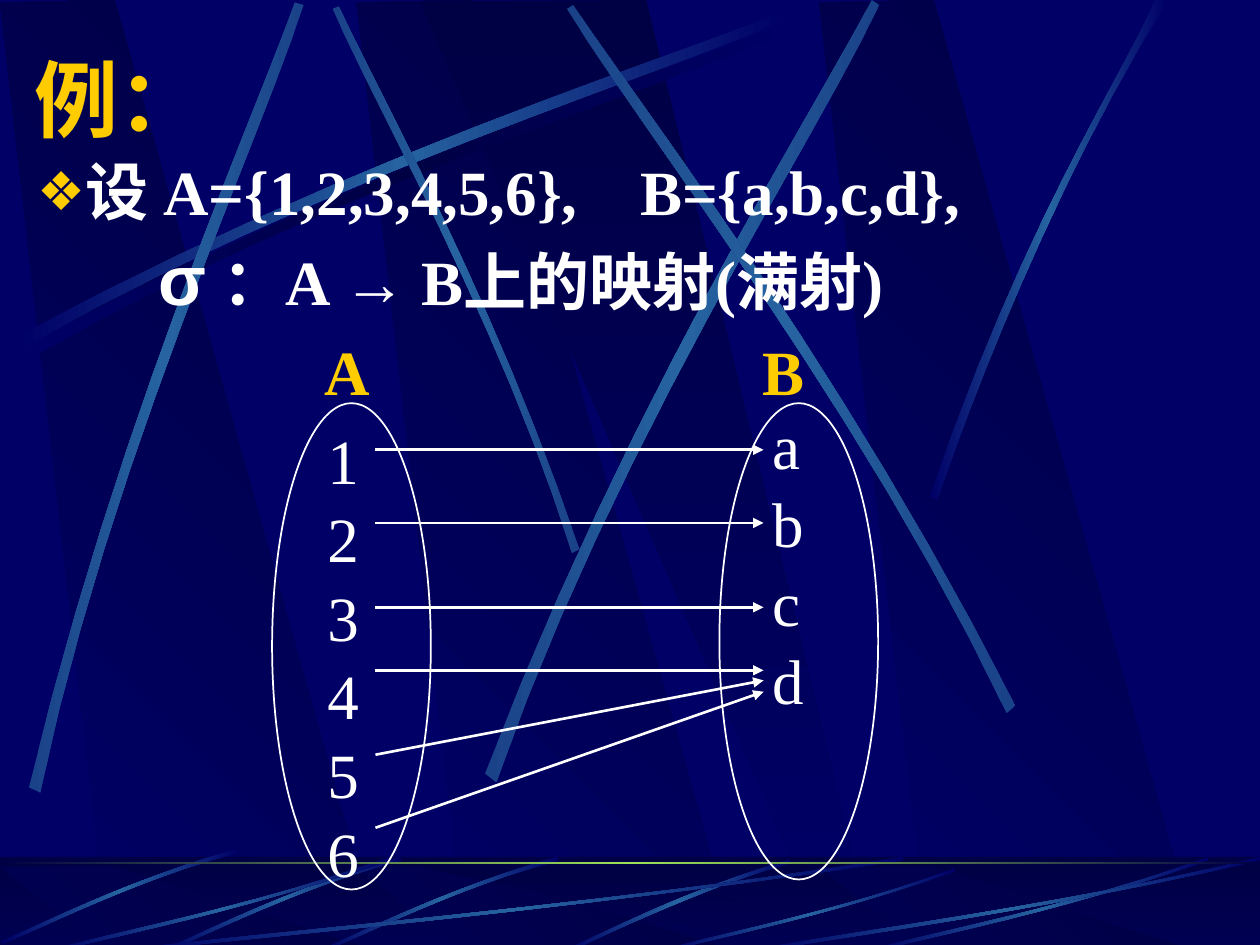
from lxml.etree import SubElement
from pptx import Presentation
from pptx.dml.color import RGBColor
from pptx.enum.shapes import MSO_CONNECTOR, MSO_SHAPE
from pptx.enum.text import MSO_ANCHOR, MSO_AUTO_SIZE, PP_ALIGN
from pptx.oxml.ns import qn
from pptx.util import Inches, Pt

COLORS = {"navy": "000066", "dark": "000044", "ray": "2663A0", "ray_end": "1A4288",
          "green": "9CE157", "gold": "FFCC00", "white": "FFFFFF"}
SERIF = "Times New Roman"

PANEL = [(0.86, 7.5), (3.02, 7.52), (0.91, 0), (0, 0.02)]
WEDGE = [(3.33, 0.01), (6.58, 7.51), (6.94, 7.51), (5.13, 0)]
SWEEP = [(0, 2.57), (2.64, 1.15), (5.04, 0.41), (6.06, 0),
         (6.09, 0.06), (5.08, 0.51), (2.34, 1.33), (0.03, 2.67)]
LONG_RAYS = [
    [(4.6, 4.36), (3.91, 2.34), (3.02, 0.77), (2.69, 0.05),
     (2.64, 0.07), (2.95, 0.79), (3.98, 2.58), (4.54, 4.39)],
    [(0.23, 6.25), (0.93, 3.34), (1.97, 1.05), (2.34, 0.02),
     (2.41, 0.04), (2.07, 1.09), (0.86, 3.68), (0.32, 6.29)],
    [(3.85, 6.14), (4.98, 3.2), (6.38, 1.02), (6.92, 0),
     (6.98, 0.04), (6.49, 1.08), (4.86, 3.55), (3.94, 6.21)],
    [(8.06, 5.6), (6.7, 2.93), (5.16, 0.95), (4.55, 0.04),
     (4.5, 0.07), (5.07, 1.01), (6.85, 3.25), (7.99, 5.66)]]
RIGHT_RAY = [(7.38, 3.94), (8.14, 1.73), (8.88, 0.66), (9.17, 0),
             (9.27, 0), (8.36, 1.45), (7.69, 3.22), (7.44, 3.97)]
FLOOR_RAY = [(6.27, 6.82), (5.37, 7.09), (4.77, 7.42), (4.48, 7.54),
             (4.53, 7.55), (4.9, 7.37), (5.71, 7), (6.28, 6.85)]
SHORT_RAY = [(1.86, 0), (0.99, 0.25), (0.31, 0.6), (0, 0.73),
             (0.01, 0.75), (0.32, 0.63), (1.09, 0.23), (1.88, 0.03)]
UNIT_RAY = [(1, 0.04), (0.57, 0.57), (0.17, 0.85), (0.01, 1),
            (0, 0.98), (0.16, 0.81), (0.62, 0.51), (1, 0)]


def curve(points, steps=12):
    for step in range(steps + 1):
        t = step / steps
        weights = ((1 - t) ** 3, 3 * t * (1 - t) ** 2, 3 * t * t * (1 - t), t ** 3)
        yield tuple(sum(w * point[axis] for w, point in zip(weights, points))
                    for axis in (0, 1))


class MappingSlide:
    def __init__(self, deck):
        self.page = deck.slides.add_slide(deck.slide_layouts[1])
        self.shapes = self.page.shapes
        fill = self.page.background.fill
        fill.solid()
        fill.fore_color.rgb = self.color("navy")

    def color(self, name):
        return RGBColor.from_string(COLORS[name])

    def gradient(self, shape, names, angle):
        shape.shadow.inherit = False
        shape.line.fill.background()
        shape.fill.gradient()
        shape.fill.gradient_angle = angle
        stops = shape._element.spPr.find(".//" + qn("a:gsLst"))
        for stop in list(stops):
            stops.remove(stop)
        for index, name in enumerate(names):
            position = 100000 * index // (len(names) - 1)
            stop = SubElement(stops, qn("a:gs"), pos=str(position))
            SubElement(stop, qn("a:srgbClr"), val=COLORS[name])

    def outline(self, points, names, angle=0, place=(0, 0, 1, 1)):
        left, top, width, height = place
        corners = [(Inches(left + width * x), Inches(top + height * y)) for x, y in points]
        builder = self.shapes.build_freeform(*corners[0])
        builder.add_line_segments(corners[1:], close=True)
        self.gradient(builder.convert_to_shape(), names, angle)

    def ray(self, points, place=(0, 0, 1, 1), names=("navy", "ray", "navy")):
        self.outline([*curve(points[:4]), *curve(points[4:])], names, 0, place)

    def preset(self, kind, *place):
        shape = self.shapes.add_shape(kind, *map(Inches, place))
        shape.shadow.inherit = False
        return shape

    def band(self, top, height, names, angle):
        self.gradient(self.preset(MSO_SHAPE.RECTANGLE, 0, top, 10, height), names, angle)

    def veil(self, top, height):
        shape = self.preset(MSO_SHAPE.RECTANGLE, 0, top, 10, height)
        shape.line.fill.background()
        shape.fill.solid()
        shape.fill.fore_color.rgb = self.color("dark")
        SubElement(shape._element.spPr.find(".//" + qn("a:srgbClr")), qn("a:alpha"), val="50000")

    def oval(self, *place):
        shape = self.preset(MSO_SHAPE.OVAL, *place)
        shape.fill.background()
        shape.line.color.rgb = self.color("white")
        shape.line.width = Pt(1)

    def arrow(self, start, end):
        line = self.shapes.add_connector(MSO_CONNECTOR.STRAIGHT, *map(Inches, (*start, *end)))
        line.line.color.rgb = self.color("white")
        line.line.width = Pt(1.5)
        SubElement(line.line._get_or_add_ln(), qn("a:tailEnd"), type="triangle")
        SubElement(line._element.spPr, qn("a:effectLst"))

    def span(self, para, text, size=36, name=SERIF, color="white", bold=True):
        span = para.add_run()
        span.text = text
        for key, value in {"size": Pt(size), "name": name, "bold": bold}.items():
            setattr(span.font, key, value)
        span.font.color.rgb = self.color(color)

    def placeholder(self, index, place, anchor):
        box = self.page.placeholders[index]
        for key, value in zip(("left", "top", "width", "height"), place):
            setattr(box, key, Inches(value))
        self.shapes._spTree.append(box._element)
        box.text_frame.auto_size = MSO_AUTO_SIZE.NONE
        box.text_frame.vertical_anchor = anchor
        return box.text_frame

    def title(self, text, *place):
        para = self.placeholder(0, place, MSO_ANCHOR.MIDDLE).paragraphs[0]
        para.alignment = PP_ALIGN.LEFT
        self.span(para, text, 48, "Montserrat", "gold")

    def body(self, lines, *place):
        frame = self.placeholder(1, place, MSO_ANCHOR.TOP)
        for index, (margin, indent, bullet, tab, spans) in enumerate(lines):
            para = frame.add_paragraph() if index else frame.paragraphs[0]
            para.alignment, para.line_spacing = PP_ALIGN.JUSTIFY, 0.9
            para.space_before = Pt(9 if index else 0)
            props = para._p.get_or_add_pPr()
            props.set("marL", str(Inches(margin)))
            props.set("indent", str(Inches(indent)))
            if bullet:
                SubElement(SubElement(props, qn("a:buClr")), qn("a:srgbClr"), val=COLORS["gold"])
                SubElement(props, qn("a:buSzPct"), val="85000")
                SubElement(props, qn("a:buChar"), char=bullet)
            else:
                SubElement(props, qn("a:buNone"))
            if tab:
                stops = SubElement(props, qn("a:tabLst"))
                SubElement(stops, qn("a:tab"), pos=str(Inches(tab)), algn="l")
            for text, size, name in spans:
                self.span(para, text, size, name)

    def label(self, lines, *place, color="white", bold=False):
        frame = self.shapes.add_textbox(*map(Inches, place)).text_frame
        frame.word_wrap = False
        for index, text in enumerate(lines):
            para = frame.add_paragraph() if index else frame.paragraphs[0]
            para.line_spacing = 1.04
            self.span(para, text, color=color, bold=bold)

    def backdrop(self):
        lefts = (2.83, 0, 6.5)
        for left in lefts:
            self.outline(PANEL, ("navy", "dark"), 45, (left, 0, 1, 1))
        self.outline(WEDGE, ("dark", "navy"), 270)
        self.ray(SWEEP, (0.2, 0.18, 1, 1), ("navy", "dark", "navy"))
        self.ray(SWEEP, (0.14, 0.1, 1, 1))
        for points in LONG_RAYS:
            self.ray(points, names=("ray_end", "ray", "ray_end"))
        self.ray(RIGHT_RAY)
        self.band(6.8, 0.75, ("dark", "navy"), 270)
        for left in lefts:
            self.outline(PANEL, ("navy", "dark"), 45, (left, 6.88, 1, 0.09))
        self.outline(WEDGE, ("dark", "navy"), 270, (0, 6.88, 1, 0.09))
        self.veil(6.8, 0.75)
        self.ray(FLOOR_RAY)
        for left, top in ((2.56, 6.8), (1.31, 6.8), (0.01, 6.74)):
            self.ray(SHORT_RAY, (left, top, 1, 1))
        for place in ((1, 6.8, 6.17, 0.75), (0.42, 6.8, 2.67, 0.75), (5.27, 6.89, 2.31, 0.66),
                      (6.92, 6.8, 2.67, 0.75), (6, 6.8, 4, 0.75)):
            self.ray(UNIT_RAY, place)
        self.band(6.84, 0.02, ("dark", "green", "dark"), 0)


def main():
    deck = Presentation()
    deck.slide_width, deck.slide_height = Inches(10), Inches(7.5)
    slide = MappingSlide(deck)
    slide.backdrop()
    slide.body([
        (0.38, -0.38, "❖", 4.78, [("设 A={1,2,3,4,5,6},\tB={a,b,c,d},", 36, SERIF)]),
        (0.96, 0, None, None, [("σ", 40, "Arial"), (" ：A ", 36, SERIF), ("→", 36, "Arial"),
                               (" B上的映射(满射)", 36, SERIF)]),
    ], 0.2, 1.23, 9.47, 1.5)
    slide.title("例：", 0.17, 0.33, 8.5, 0.9)
    slide.label("123456", 2.5, 3.27, 0.45, 3.7)
    slide.label("abcd", 6.03, 3.15, 0.45, 2.5)
    for name, left in (("A", 2.48), ("B", 5.95)):
        slide.label(name, left, 2.57, 0.55, 0.7, color="gold", bold=True)
    for start, end in ((3.57, 3.57), (4.15, 4.15), (4.82, 4.82), (5.32, 5.32),
                       (5.99, 5.4), (6.57, 5.49)):
        slide.arrow((2.98, start), (6.06, end))
    slide.oval(2.16, 3.2, 1.26, 3.86)
    slide.oval(5.71, 3.2, 1.26, 3.78)
    deck.save("out.pptx")


if __name__ == "__main__":
    main()
